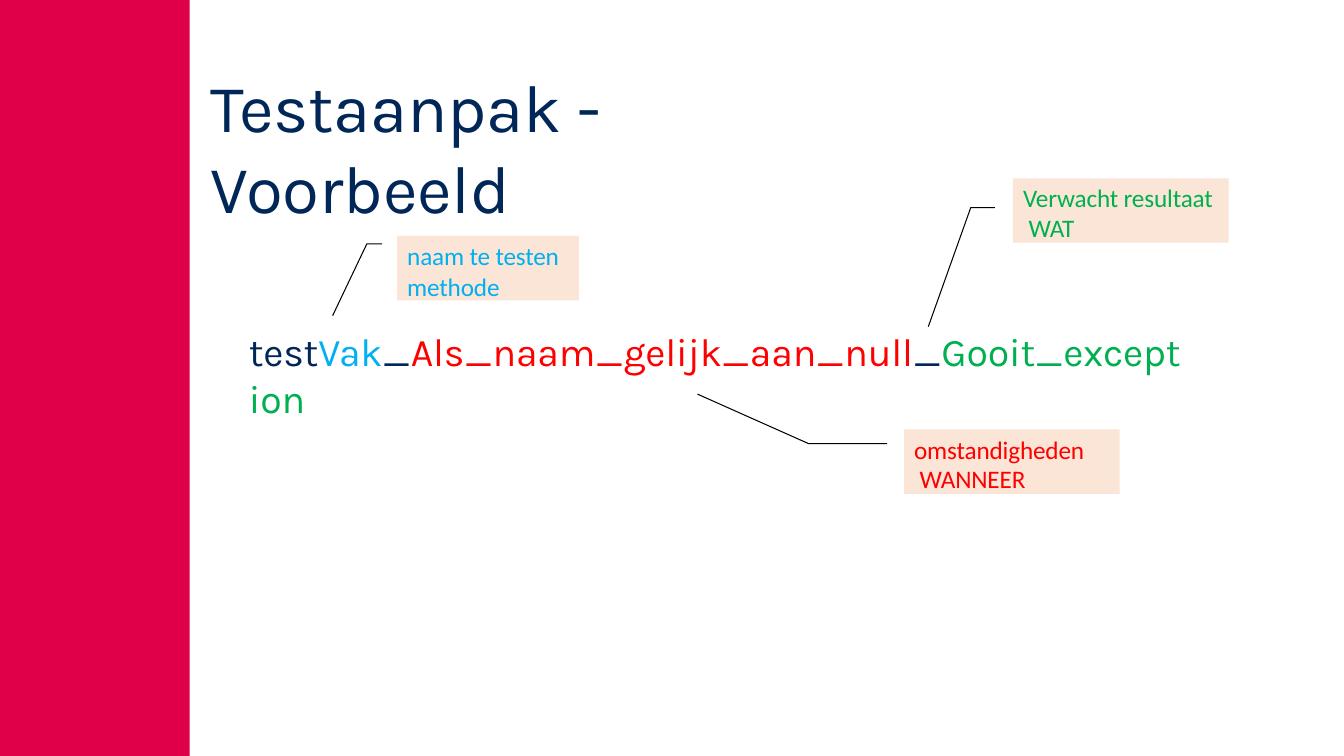
import pptx
import pptx.util
import pptx.dml.color
import pptx.enum.shapes
import pptx.enum.text
from dataclasses import dataclass

Pt = pptx.util.Pt


@dataclass(frozen=True)
class Theme:
    sidebar: str = "E00049"
    navy: str = "002757"
    blue: str = "00B0F0"
    red: str = "FF0000"
    green: str = "00B050"
    note: str = "FBE5D6"
    line: str = "000000"
    heading_font: str = "Karla"
    note_font: str = "Calibri"
    title_size: float = 48
    name_size: float = 28
    note_size: float = 18


T = Theme()


def rgb(value):
    return pptx.dml.color.RGBColor.from_string(value)


def place(shape, box):
    shape.left, shape.top, shape.width, shape.height = map(Pt, box)


def set_frame(shape, top=0.7, right=0):
    """Prepare a text frame and return its only paragraph."""
    tf = shape.text_frame
    tf.word_wrap = True
    tf.auto_size = pptx.enum.text.MSO_AUTO_SIZE.NONE
    tf.vertical_anchor = pptx.enum.text.MSO_ANCHOR.TOP
    tf.margin_left = tf.margin_bottom = 0
    tf.margin_top, tf.margin_right = Pt(top), Pt(right)
    p = tf.paragraphs[0]
    p.alignment = pptx.enum.text.PP_ALIGN.LEFT
    return p


def set_indent(p, margin, first=0):
    pPr = p._p.get_or_add_pPr()
    pPr.set("marL", str(Pt(margin)))
    pPr.set("indent", str(Pt(first)))


def add_run(p, text, *, font, size, color, spacing=-0.1):
    r = p.add_run()
    r.text = text
    r.font.name, r.font.size = font, Pt(size)
    r.font.color.rgb = rgb(color)
    r._r.get_or_add_rPr().set("spc", str(round(spacing * 100)))


def add_sidebar(s, box):
    sp = s.shapes.add_shape(pptx.enum.shapes.MSO_SHAPE.RECTANGLE, *map(Pt, box))
    sp.shadow.inherit = False
    sp.fill.solid()
    sp.fill.fore_color.rgb = rgb(T.sidebar)
    sp.line.fill.background()


def fill_title(sp, box, text):
    place(sp, box)
    p = set_frame(sp, right=10)
    p.space_before = Pt(1)
    add_run(p, text, font=T.heading_font, size=T.title_size, color=T.navy)


def fill_test_name(sp, box, parts):
    place(sp, box)
    p = set_frame(sp)
    p.space_before = Pt(1)
    set_indent(p, 0.7)
    pPr = p._p.get_or_add_pPr()
    pPr.append(pptx.oxml.parse_xml(
        '<a:buNone xmlns:a="http://schemas.openxmlformats.org/drawingml/2006/main"/>'))
    for text, color in parts:
        add_run(p, text, font=T.heading_font, size=T.name_size, color=color)


def add_callout(s, box, text, color, leader, hang=0, line_height=None):
    """Note with a leader; leader points count from the note's top left."""
    left, top = box[:2]
    # Leader line
    points = [(Pt(left + x), Pt(top + y)) for x, y in leader]
    builder = s.shapes.build_freeform(*points[0], scale=1.0)
    builder.add_line_segments(points[1:], close=False)
    sp = builder.convert_to_shape()
    sp.shadow.inherit = False
    sp.fill.background()
    sp.line.color.rgb = rgb(T.line)
    sp.line.width = Pt(0.75)
    # Note
    sp = s.shapes.add_shape(pptx.enum.shapes.MSO_SHAPE.RECTANGLE, *map(Pt, box))
    sp.shadow.inherit = False
    sp.fill.solid()
    sp.fill.fore_color.rgb = rgb(T.note)
    sp.line.fill.background()
    p = set_frame(sp, top=3.5)
    p.space_before = Pt(3)
    if line_height:
        p.line_spacing = Pt(line_height)
    set_indent(p, 7.2 + hang, -hang)
    add_run(p, text, font=T.note_font, size=T.note_size, color=color)


def build_example_slide(prs):
    s = prs.slides.add_slide(prs.slide_layouts[1])
    add_sidebar(s, (0, 0, 135.4, 540))
    fill_title(s.shapes.title, (150.5, 46, 505.4, 60), "Testaanpak - Voorbeeld")
    fill_test_name(s.placeholders[1], (177, 233.3, 673.2, 35.3), [
        ("test", T.navy), ("Vak", T.blue), ("_", T.navy),
        ("Als_naam_gelijk_aan_null", T.red), ("_", T.navy),
        ("Gooit_exception", T.green)])
    # Callouts for the three parts of the test name
    add_callout(s, (283.7, 168.5, 129.9, 46), "naam te testen methode", T.blue,
                [(-10.8, 5.8), (-21.7, 5.8), (-46.1, 57)])
    add_callout(s, (723.6, 127.4, 154.1, 46), "Verwacht resultaat WAT", T.green,
                [(-13, 20.9), (-30.2, 20.9), (-60.5, 105.9)],
                hang=4, line_height=21.3)
    add_callout(s, (645.8, 306.7, 154.1, 46), "omstandigheden WANNEER", T.red,
                [(-12.2, 10.1), (-68.4, 10.1), (-147.6, -25.2)],
                hang=4, line_height=21.3)


def main():
    prs = pptx.Presentation()
    prs.slide_width, prs.slide_height = Pt(960), Pt(540)
    build_example_slide(prs)
    prs.save("out.pptx")


if __name__ == "__main__":
    main()
